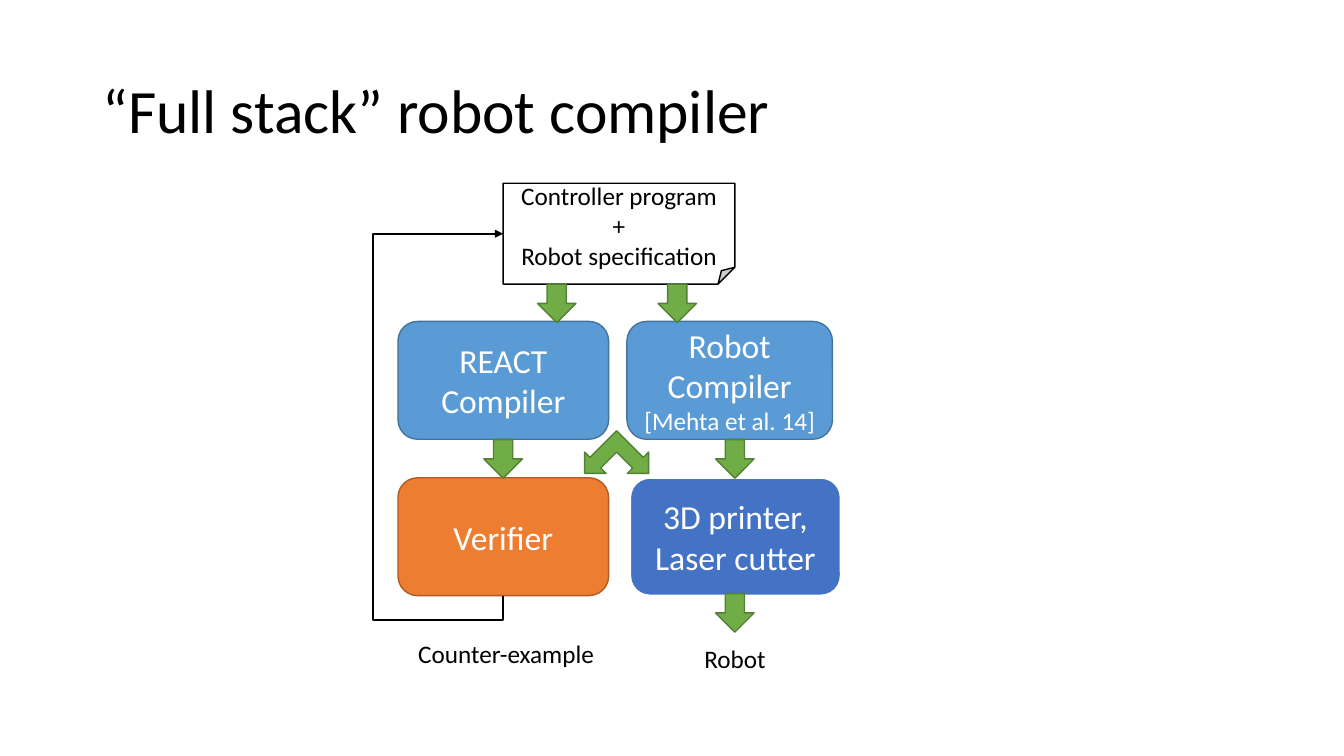
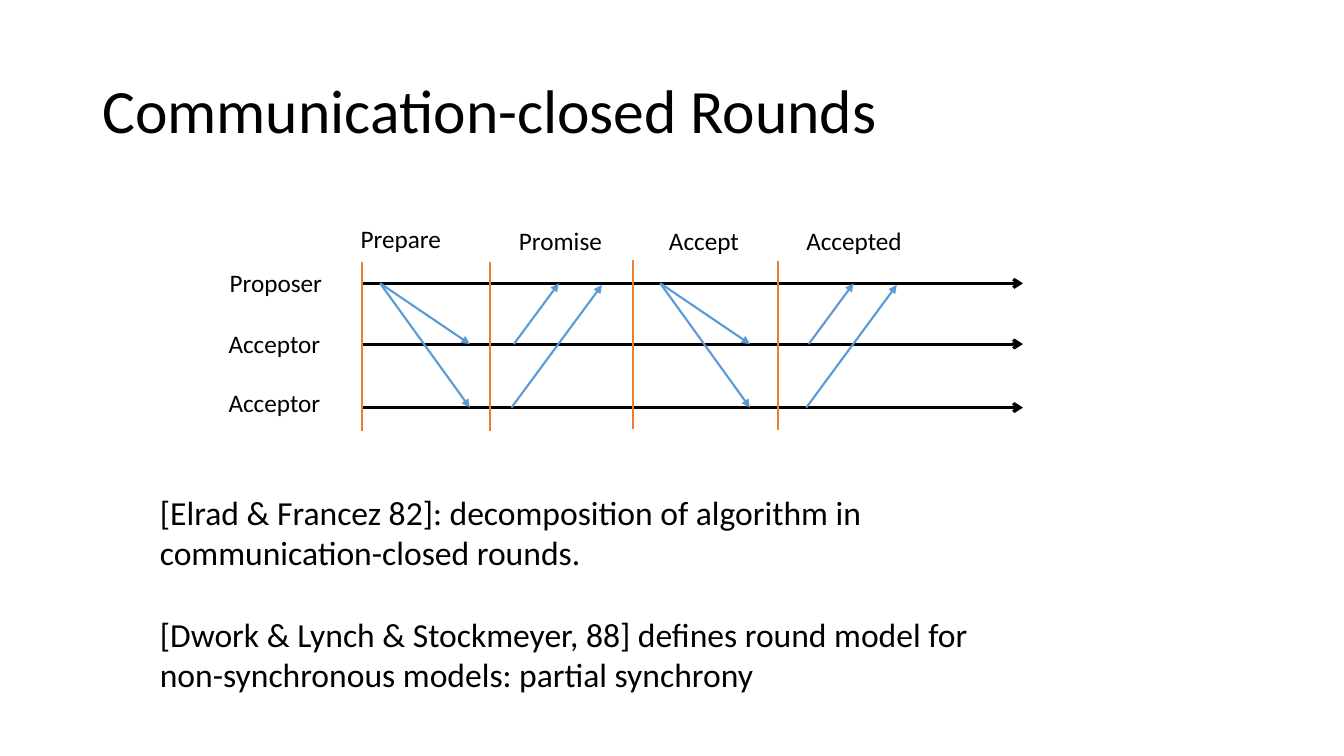
from lxml import etree
from pptx import Presentation
from pptx import util as u
from pptx.dml.color import RGBColor
from pptx.enum import shapes, text
from pptx.oxml import ns

FONT = "Calibri"
BLACK = RGBColor(0x00, 0x00, 0x00)
WHITE = RGBColor(0xFF, 0xFF, 0xFF)
BLUE = RGBColor(0x5B, 0x9B, 0xD5)
DARK_BLUE = RGBColor(0x43, 0x73, 0x9E)
ROYAL_BLUE = RGBColor(0x44, 0x72, 0xC4)
ORANGE = RGBColor(0xED, 0x7D, 0x31)
DARK_ORANGE = RGBColor(0xAF, 0x5C, 0x24)
GREEN = RGBColor(0x70, 0xAD, 0x47)
DARK_GREEN = RGBColor(0x53, 0x80, 0x35)

SHAPE = shapes.MSO_SHAPE
MIDDLE = text.MSO_ANCHOR.MIDDLE
CENTER = text.PP_ALIGN.CENTER
LABEL_HEIGHT = 1.02
ARROW_SIZE = 0.97


# Elements; all positions and sizes are in centimetres
def write_lines(frame, lines, color, align=None):
    """Write one paragraph for each (wording, size) pair."""
    for index, (wording, size) in enumerate(lines):
        paragraph = frame.add_paragraph() if index else frame.paragraphs[0]
        paragraph.alignment = align
        run = paragraph.add_run()
        run.text = wording
        run.font.name = FONT
        run.font.size = u.Pt(size)
        run.font.color.rgb = color


def add_text(slide, box, wording, size=18, wrap=False):
    frame = slide.shapes.add_textbox(*map(u.Cm, box)).text_frame
    frame.word_wrap = wrap
    write_lines(frame, [(wording, size)], BLACK)
    return frame


def add_title(slide, wording):
    frame = add_text(slide, (2.33, 1.02, 29.21, 3.68), wording, 44, wrap=True)
    frame.vertical_anchor = MIDDLE
    frame.paragraphs[0].line_spacing = 0.9


def add_box(slide, kind, box, fill, outline, lines=(), color=WHITE, width=1):
    shape = slide.shapes.add_shape(kind, *map(u.Cm, box))
    shape.shadow.inherit = False
    shape.fill.solid()
    shape.fill.fore_color.rgb = fill
    shape.line.color.rgb = outline
    shape.line.width = u.Pt(width)
    shape.text_frame.word_wrap = True
    shape.text_frame.vertical_anchor = MIDDLE
    write_lines(shape.text_frame, lines, color, CENTER)
    return shape


def add_down_arrow(slide, center, top):
    box = (center - ARROW_SIZE / 2, top, ARROW_SIZE, ARROW_SIZE)
    add_box(slide, SHAPE.DOWN_ARROW, box, GREEN, DARK_GREEN)


def style_line(shape, color, width, head=None):
    shape.line.color.rgb = color
    shape.line.width = u.Pt(width)
    properties = shape._element.spPr
    if head:
        outline = properties.find(ns.qn("a:ln"))
        etree.SubElement(outline, ns.qn("a:tailEnd"), type=head)
    etree.SubElement(properties, ns.qn("a:effectLst"))


def add_line(slide, start, end, color, width=1.5, head=None):
    connector = slide.shapes.add_connector(
        shapes.MSO_CONNECTOR.STRAIGHT, *map(u.Cm, (*start, *end)))
    style_line(connector, color, width, head)


def add_bent_arrow(slide, points):
    start, *rest = [(u.Cm(x), u.Cm(y)) for x, y in points]
    builder = slide.shapes.build_freeform(*start)
    builder.add_line_segments(rest, close=False)
    shape = builder.convert_to_shape()
    shape.fill.background()
    style_line(shape, BLACK, 1.5, "triangle")


# Slide 1: compiler flow
def build_compiler(slide):
    add_title(slide, "“Full stack” robot compiler")
    left_axis, right_axis = 12.68, 18.52
    compiler_top, output_top, box_height = 8.1, 12.04, 2.97

    # Input document
    add_box(slide, SHAPE.FOLDED_CORNER, (12.68, 4.62, 5.84, 2.54), WHITE, BLACK,
            [("Controller program", 18), ("+", 18), ("Robot specification", 18)],
            BLACK)

    # Processing stages
    stages = [
        (10.03, compiler_top, 5.31, BLUE, DARK_BLUE, 1,
         [("REACT", 24), ("Compiler", 24)]),
        (15.8, compiler_top, 5.18, BLUE, DARK_BLUE, 1,
         [("Robot", 24), ("Compiler", 24), ("[Mehta et al. 14]", 18)]),
        (10.03, output_top, 5.31, ORANGE, DARK_ORANGE, 1, [("Verifier", 24)]),
        (15.88, output_top, 5.31, ROYAL_BLUE, WHITE, 1.5,
         [("3D printer,", 24), ("Laser cutter", 24)]),
    ]
    for left, top, width, fill, outline, line_width, lines in stages:
        add_box(slide, SHAPE.ROUNDED_RECTANGLE, (left, top, width, box_height),
                fill, outline, lines, width=line_width)

    # Flow arrows
    for center, top in [(14.03, 7.16), (17.07, 7.16), (left_axis, 11.08),
                        (right_axis, 11.08), (right_axis, 14.96)]:
        add_down_arrow(slide, center, top)
    fork = add_box(slide, SHAPE.LEFT_UP_ARROW, (14.78, 10.9, 1.52, 1.52),
                   GREEN, DARK_GREEN)
    fork.rotation = 225

    # Results and feedback loop
    add_text(slide, (17.5, 16.08, 2.08, LABEL_HEIGHT), "Robot")
    loop_left, loop_top, loop_bottom = 9.4, 5.89, 15.62
    add_bent_arrow(slide, [
        (left_axis, output_top + box_height), (left_axis, loop_bottom),
        (loop_left, loop_bottom), (loop_left, loop_top), (left_axis, loop_top)])
    add_text(slide, (10.29, 15.95, 5, LABEL_HEIGHT), "Counter-example")


# Slide 2: message rounds
def build_rounds(slide):
    add_title(slide, "Communication-closed Rounds")
    proposer, acceptor_1, acceptor_2 = lanes = 7.14, 8.67, 10.27

    # Process time lines
    for lane in lanes:
        add_line(slide, (9.12, lane), (25.78, lane), BLACK, 2.25, "arrow")
    for wording, left, top in [("Proposer", 5.54, 6.6), ("Acceptor", 5.51, 8.15),
                               ("Acceptor", 5.51, 9.63)]:
        add_text(slide, (left, top, 2.85, LABEL_HEIGHT), wording)

    # Requests fan out from the proposer
    for start in (9.58, 16.64):
        for lane in (acceptor_1, acceptor_2):
            add_line(slide, (start, proposer), (start + 2.26, lane), BLUE,
                     head="triangle")

    # Replies return to the proposer
    for start in (12.89, 20.32):
        for lane, shift, advance, arrival in [(acceptor_1, 0.06, 1.13, 7.14),
                                              (acceptor_2, 0, 2.28, 7.18)]:
            left = start + shift
            add_line(slide, (left, lane), (left + advance, arrival), BLUE,
                     head="triangle")

    # Round names and boundaries
    rounds = [("Prepare", 8.84, 5.51, 2.57, 9.12, 6.6),
              ("Promise", 12.83, 5.56, 2.62, 12.34, 6.6),
              ("Accept", 16.61, 5.56, 2.29, 15.95, 6.55),
              ("Accepted", 20.07, 5.56, 2.95, 19.61, 6.58)]
    for wording, left, top, width, boundary, line_top in rounds:
        add_text(slide, (left, top, width, LABEL_HEIGHT), wording)
        add_line(slide, (boundary, line_top), (boundary, line_top + 4.25), ORANGE)

    # References
    references = [
        "[Elrad & Francez 82]: decomposition of algorithm in "
        "communication-closed rounds.",
        "[Dwork & Lynch & Stockmeyer, 88] defines round model for "
        "non-synchronous models: partial synchrony",
    ]
    for index, wording in enumerate(references):
        add_text(slide, (3.78, 12.27 + 3.07 * index, 21.69, 2.31), wording, 24,
                 wrap=True)


def main():
    presentation = Presentation()
    presentation.slide_width = u.Cm(33.87)
    presentation.slide_height = u.Cm(19.05)
    blank = presentation.slide_layouts[6]
    for build in (build_compiler, build_rounds):
        build(presentation.slides.add_slide(blank))
    presentation.save("out.pptx")


if __name__ == "__main__":
    main()
